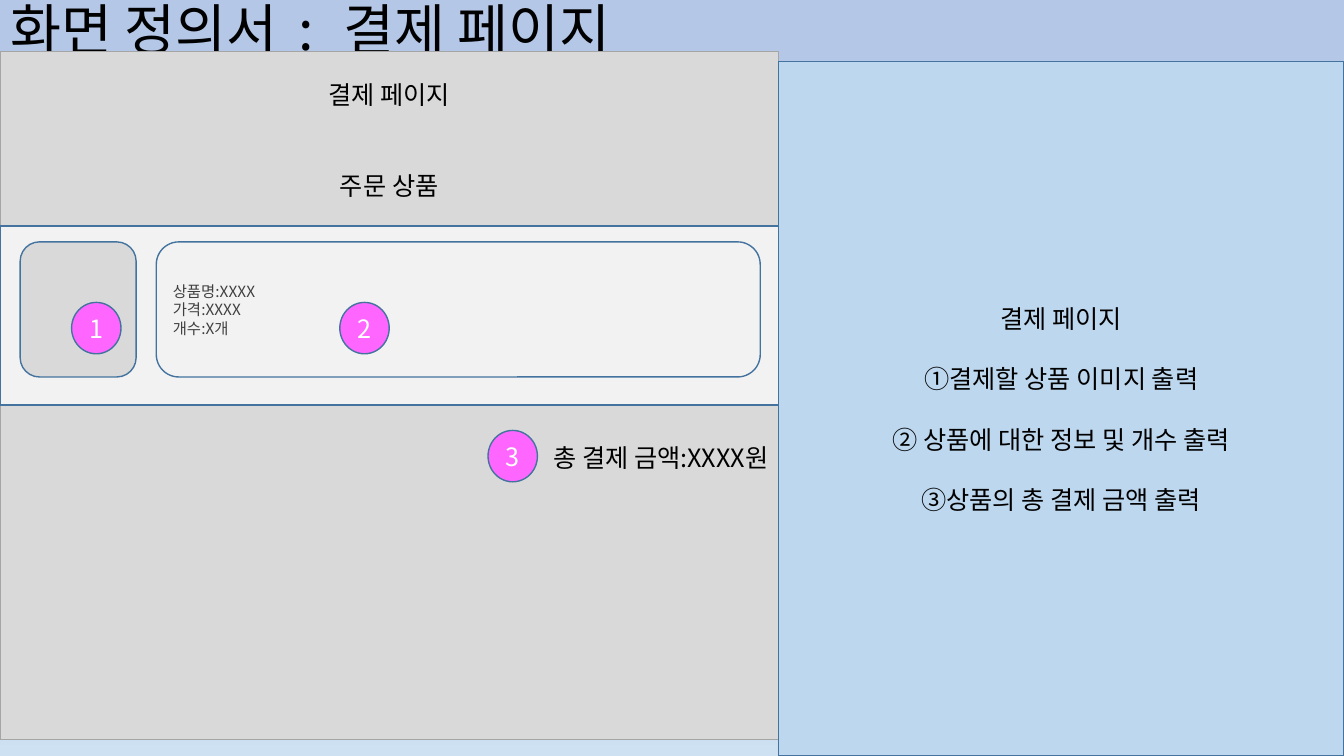
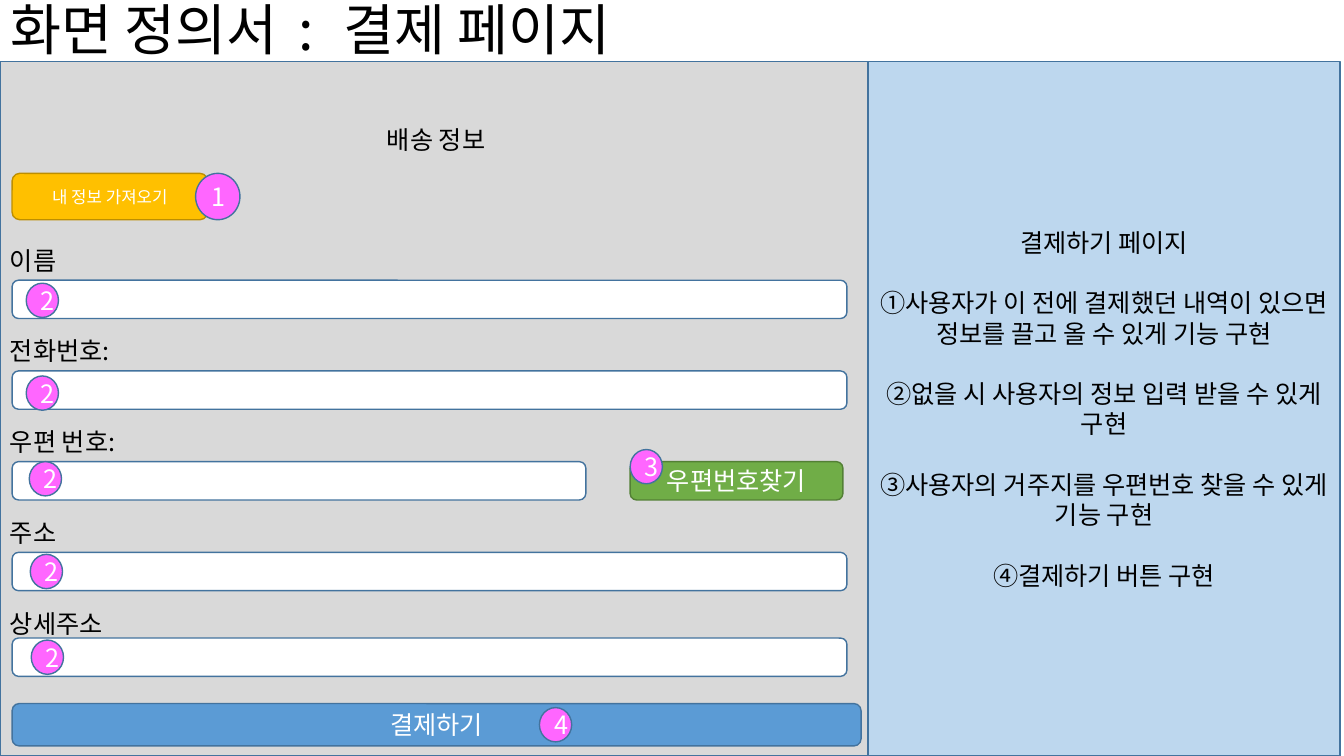
"""Build the two screen-definition slides of the payment page."""
from dataclasses import dataclass

from lxml.etree import SubElement
from pptx import Presentation
from pptx.dml.color import RGBColor
from pptx.enum.shapes import MSO_SHAPE as Preset
from pptx.enum.text import MSO_ANCHOR as Anchor, PP_ALIGN as Align
from pptx.oxml import parse_xml
from pptx.oxml.ns import nsdecls, qn
from pptx.util import Inches, Pt


@dataclass(frozen=True)
class Theme:
    font: str = "Noto Sans CJK KR"
    ink: str = "000000"
    soft_ink: str = "404040"
    white: str = "FFFFFF"
    outline: str = "43739E"
    screen_edge: str = "A5A5A5"
    screen: str = "D9D9D9"
    card: str = "F2F2F2"
    notes: str = "BDD7EE"
    badge: str = "FF66FF"
    amber: str = "FFC000"
    amber_edge: str = "BD8E00"
    green: str = "70AD47"
    green_edge: str = "538035"
    blue: str = "5B9BD5"
    sky: tuple = ((0, "B4C7E7"), (74, "B5D2EC"), (83, "B5D2EC"), (100, "CEE1F2"))
    title_size: float = 39.6
    body_size: float = 18
    button_size: float = 12
    detail_size: float = 11
    leading: float = 1.2


THEME = Theme()
WIDTH, HEIGHT, BAND = 13.33, 7.5, 0.61
TITLE = ("화면 정의서", " : ", "결제 페이지")
COLON_TRACKING = "600"

ORDER_SCREEN = [
    ("결제 페이지", Align.CENTER, 0),
    ("주문 상품", Align.CENTER, 2),
    ("총 결제 금액:XXXX원", Align.RIGHT, 8),
]
PRODUCT = ["상품명:XXXX", "가격:XXXX", "개수:X개"]
ORDER_NOTES = [
    "결제 페이지",
    "①결제할 상품 이미지 출력",
    "② 상품에 대한 정보 및 개수 출력",
    "③상품의 총 결제 금액 출력",
]
ORDER_BADGES = [("1", 0.71, 3), ("2", 3.37, 3), ("3", 4.84, 4.27)]

DELIVERY_HEADING = "배송 정보"
FIELD_LABELS = ["이름", "전화번호:", "우편 번호:", "주소", "상세주소"]
FIELDS = [(2.78, 8.28), (3.68, 8.28), (4.58, 5.69), (5.48, 8.28), (6.33, 8.28)]
BUTTONS = [
    ("내 정보 가져오기", (0.12, 1.72, 1.94, 0.46), THEME.amber, THEME.amber_edge, THEME.button_size),
    ("우편번호찾기", (6.25, 4.58, 2.11, 0.38), THEME.green, THEME.green_edge, THEME.body_size),
    ("결제하기", (0.12, 6.98, 8.42, 0.42), THEME.blue, THEME.outline, THEME.body_size),
]
DELIVERY_NOTES = [
    "결제하기 페이지",
    "①사용자가 이 전에 결제했던 내역이 있으면 정보를 끌고 올 수 있게 기능 구현",
    "②없을 시 사용자의 정보 입력 받을 수 있게 구현",
    "③사용자의 거주지를 우편번호 찾을 수 있게 기능 구현",
    "④결제하기 버튼 구현",
]
DELIVERY_BADGES = [
    ("2", 0.26, 2.81), ("2", 0.26, 3.73), ("2", 0.29, 4.58), ("2", 0.3, 5.5),
    ("2", 0.31, 6.35), ("3", 6.25, 4.46), ("4", 5.35, 7.02),
]


def style_run(run, size, color):
    run.font.size = Pt(size)
    run.font.name = THEME.font
    run.font.color.rgb = RGBColor.from_string(color)
    SubElement(run.font._element, qn("a:ea")).set("typeface", THEME.font)


def write(shape, lines, size=THEME.body_size, color=THEME.white, inset=None):
    """Write (text, alignment, blank lines before) entries at a fixed line pitch."""
    frame = shape.text_frame
    frame.word_wrap = True
    frame.vertical_anchor = Anchor.MIDDLE
    if inset is not None:
        frame.vertical_anchor = Anchor.TOP
        frame.margin_top = Inches(inset)
    frame.text = "\n".join(text for text, _, _ in lines)
    pitch = size * THEME.leading
    for paragraph, (_, align, gap) in zip(frame.paragraphs, lines):
        paragraph.alignment = align
        paragraph.line_spacing = Pt(pitch)
        paragraph.space_before = Pt(pitch * gap)
        for run in paragraph.runs:
            style_run(run, size, color)


def add_block(slide, preset, box, fill, line=THEME.outline):
    block = slide.shapes.add_shape(preset, *map(Inches, box))
    block.shadow.inherit = False
    block.fill.solid()
    block.fill.fore_color.rgb = RGBColor.from_string(fill)
    block.line.color.rgb = RGBColor.from_string(line)
    block.line.width = Pt(1)
    return block


def add_notes(slide, left, width, notes):
    panel = add_block(slide, Preset.RECTANGLE, (left, BAND, width, HEIGHT - BAND), THEME.notes)
    write(panel, [(note, Align.CENTER, min(i, 1)) for i, note in enumerate(notes)], color=THEME.ink)


def add_badges(slide, badges, width, height):
    for number, left, top in badges:
        badge = add_block(slide, Preset.OVAL, (left, top, width, height), THEME.badge)
        write(badge, [(number, Align.CENTER, 0)])


def add_slide(deck):
    slide = deck.slides.add_slide(deck.slide_layouts[5])
    title = slide.shapes.title
    title.left, title.top, title.width, title.height = map(Inches, (0, 0, WIDTH, BAND))
    frame = title.text_frame
    frame.vertical_anchor = Anchor.MIDDLE
    frame.margin_top = frame.margin_bottom = 0
    paragraph = frame.paragraphs[0]
    paragraph.alignment = Align.LEFT
    paragraph.line_spacing = Pt(44)
    for part in TITLE:
        run = paragraph.add_run()
        run.text = part
        style_run(run, THEME.title_size, THEME.ink)
    paragraph.runs[1].font._element.set("spc", COLON_TRACKING)
    return slide


def paint_sky(slide):
    stops = "".join(
        f'<a:gs pos="{place * 1000}"><a:srgbClr val="{color}"/></a:gs>' for place, color in THEME.sky
    )
    slide.element.cSld.insert(0, parse_xml(
        f'<p:bg {nsdecls("p", "a")}><p:bgPr><a:gradFill rotWithShape="1"><a:gsLst>{stops}</a:gsLst>'
        '<a:lin ang="5400000" scaled="0"/></a:gradFill><a:effectLst/></p:bgPr></p:bg>'
    ))


def build_order(deck):
    slide = add_slide(deck)
    paint_sky(slide)
    screen = add_block(slide, Preset.RECTANGLE, (0, 0.51, 7.72, 6.83), THEME.screen, THEME.screen_edge)
    write(screen, ORDER_SCREEN, color=THEME.ink, inset=0.28)
    add_block(slide, Preset.RECTANGLE, (0, 2.24, 7.72, 1.78), THEME.card)
    add_block(slide, Preset.ROUNDED_RECTANGLE, (0.2, 2.4, 1.15, 1.34), THEME.screen)
    product = add_block(slide, Preset.ROUNDED_RECTANGLE, (1.55, 2.4, 5.99, 1.34), THEME.card)
    write(product, [(line, Align.LEFT, 0) for line in PRODUCT], THEME.detail_size, THEME.soft_ink)
    add_notes(slide, 7.72, 5.61, ORDER_NOTES)
    add_badges(slide, ORDER_BADGES, 0.49, 0.51)


def build_delivery(deck):
    slide = add_slide(deck)
    screen = add_block(slide, Preset.RECTANGLE, (0, BAND, 8.65, HEIGHT - BAND), THEME.screen)
    labels = [(label, Align.LEFT, 2 if i else 3) for i, label in enumerate(FIELD_LABELS)]
    write(screen, [(DELIVERY_HEADING, Align.CENTER, 0)] + labels, color=THEME.ink, inset=0.62)
    for top, width in FIELDS:
        add_block(slide, Preset.ROUNDED_RECTANGLE, (0.12, top, width, 0.38), THEME.white)
    for caption, box, fill, edge, size in BUTTONS:
        button = add_block(slide, Preset.ROUNDED_RECTANGLE, box, fill, edge)
        write(button, [(caption, Align.CENTER, 0)], size)
    add_notes(slide, 8.61, 4.68, DELIVERY_NOTES)
    add_badges(slide, [("1", 1.94, 1.72)], 0.44, 0.46)
    add_badges(slide, DELIVERY_BADGES, 0.32, 0.34)


def main():
    deck = Presentation()
    deck.slide_width, deck.slide_height = Inches(WIDTH), Inches(HEIGHT)
    build_order(deck)
    build_delivery(deck)
    deck.save("out.pptx")


if __name__ == "__main__":
    main()
